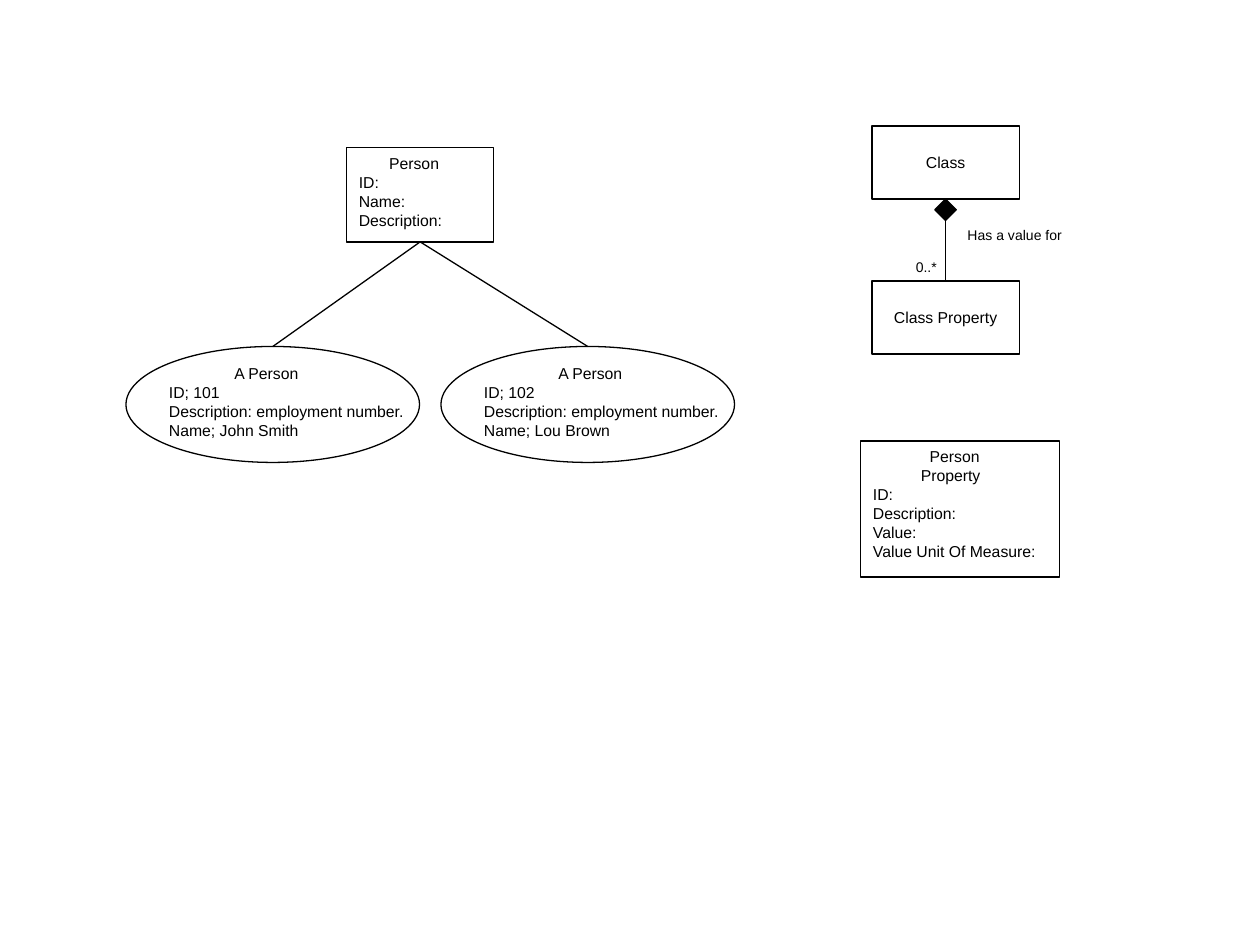
import pptx
import pptx.util
import pptx.dml.color
import pptx.enum.shapes
import pptx.enum.text
import lxml.etree

Inches = pptx.util.Inches
Shape = pptx.enum.shapes.MSO_SHAPE
Anchor = pptx.enum.text.MSO_ANCHOR
Align = pptx.enum.text.PP_ALIGN

THEME = {
    "font": "Arial",
    "ink": pptx.dml.color.RGBColor(0, 0, 0),
    "paper": pptx.dml.color.RGBColor(255, 255, 255),
    "box_size": 9,
    "label_size": 8,
    "line": 0.75,
}

# Each line of a listing is (indent in inches, text).
LISTINGS = {
    "person": (Shape.RECTANGLE, (2.75, 1.17, 1.17, 0.75),
               [(0.24, "Person"), (0, "ID:"), (0, "Name:"), (0, "Description:")]),
    "john": (Shape.OVAL, (1, 2.75, 2.33, 0.92),
             [(0.52, "A Person"), (0, "ID; 101"),
              (0, "Description: employment number."), (0, "Name; John Smith")]),
    "lou": (Shape.OVAL, (3.5, 2.75, 2.33, 0.92),
            [(0.59, "A Person"), (0, "ID; 102"),
             (0, "Description: employment number."), (0, "Name; Lou Brown")]),
    "property": (Shape.RECTANGLE, (6.83, 3.5, 1.58, 1.08),
                 [(0.45, "Person"), (0.38, "Property"), (0, "ID:"),
                  (0, "Description:"), (0, "Value:"), (0, "Value Unit Of Measure:")]),
}
TITLED = {
    "class": ((6.92, 1, 1.17, 0.58), "Class"),
    "class_property": ((6.92, 2.23, 1.17, 0.58), "Class Property"),
}
LABELS = [((7.17, 2, 0.37, 0.24), "0..*"), ((7.58, 1.75, 0.95, 0.23), "Has a value for")]
LINKS = [("person", "john"), ("person", "lou"), ("class", "class_property")]
DIAMOND = 0.17
BOTTOM_SITE, TOP_SITE = 2, 0


def write(box, lines, size, align=Align.LEFT, anchor=Anchor.TOP):
    frame = box.text_frame
    frame.text = "\n".join(text for indent, text in lines)
    frame.word_wrap = False
    frame.vertical_anchor = anchor
    for para, (indent, text) in zip(frame.paragraphs, lines):
        if indent:
            para._p.get_or_add_pPr().set("marL", str(Inches(indent)))
        para.alignment = align
        for span in para.runs:
            span.font.name = THEME["font"]
            span.font.size = pptx.util.Pt(size)
            span.font.color.rgb = THEME["ink"]


def add_box(page, kind, place, fill):
    box = page.shapes.add_shape(kind, *map(Inches, place))
    box.shadow.inherit = False
    box.fill.solid()
    box.fill.fore_color.rgb = fill
    box.line.color.rgb = THEME["ink"]
    box.line.width = pptx.util.Pt(THEME["line"])
    return box


def add_link(page, upper, lower):
    link = page.shapes.add_connector(pptx.enum.shapes.MSO_CONNECTOR.STRAIGHT, 0, 0, 0, 0)
    link.begin_connect(upper, BOTTOM_SITE)
    link.end_connect(lower, TOP_SITE)
    link.line.color.rgb = THEME["ink"]
    link.line.width = pptx.util.Pt(THEME["line"])
    lxml.etree.SubElement(link._element.spPr, pptx.oxml.ns.qn("a:effectLst"))


def main():
    deck = pptx.Presentation()
    deck.slide_width, deck.slide_height = Inches(10), Inches(7.5)
    page = deck.slides.add_slide(deck.slide_layouts[6])

    boxes = {}
    for name, (kind, place, lines) in LISTINGS.items():
        box = boxes[name] = add_box(page, kind, place, THEME["paper"])
        write(box, lines, THEME["box_size"])
        if kind == Shape.OVAL:
            frame = box.text_frame
            frame.margin_left = frame.margin_right = 0
            frame.margin_top = frame.margin_bottom = 0
    for name, (place, title) in TITLED.items():
        boxes[name] = add_box(page, Shape.RECTANGLE, place, THEME["paper"])
        write(boxes[name], [(0, title)], THEME["box_size"], Align.CENTER, Anchor.MIDDLE)

    for upper, lower in LINKS:
        add_link(page, boxes[upper], boxes[lower])

    left, top, width, height = TITLED["class"][0]
    add_box(page, Shape.DIAMOND,
            (left + (width - DIAMOND) / 2, top + height, DIAMOND, DIAMOND), THEME["ink"])

    for place, text in LABELS:
        label = page.shapes.add_textbox(*map(Inches, place))
        write(label, [(0, text)], THEME["label_size"])

    deck.save("out.pptx")


if __name__ == "__main__":
    main()
